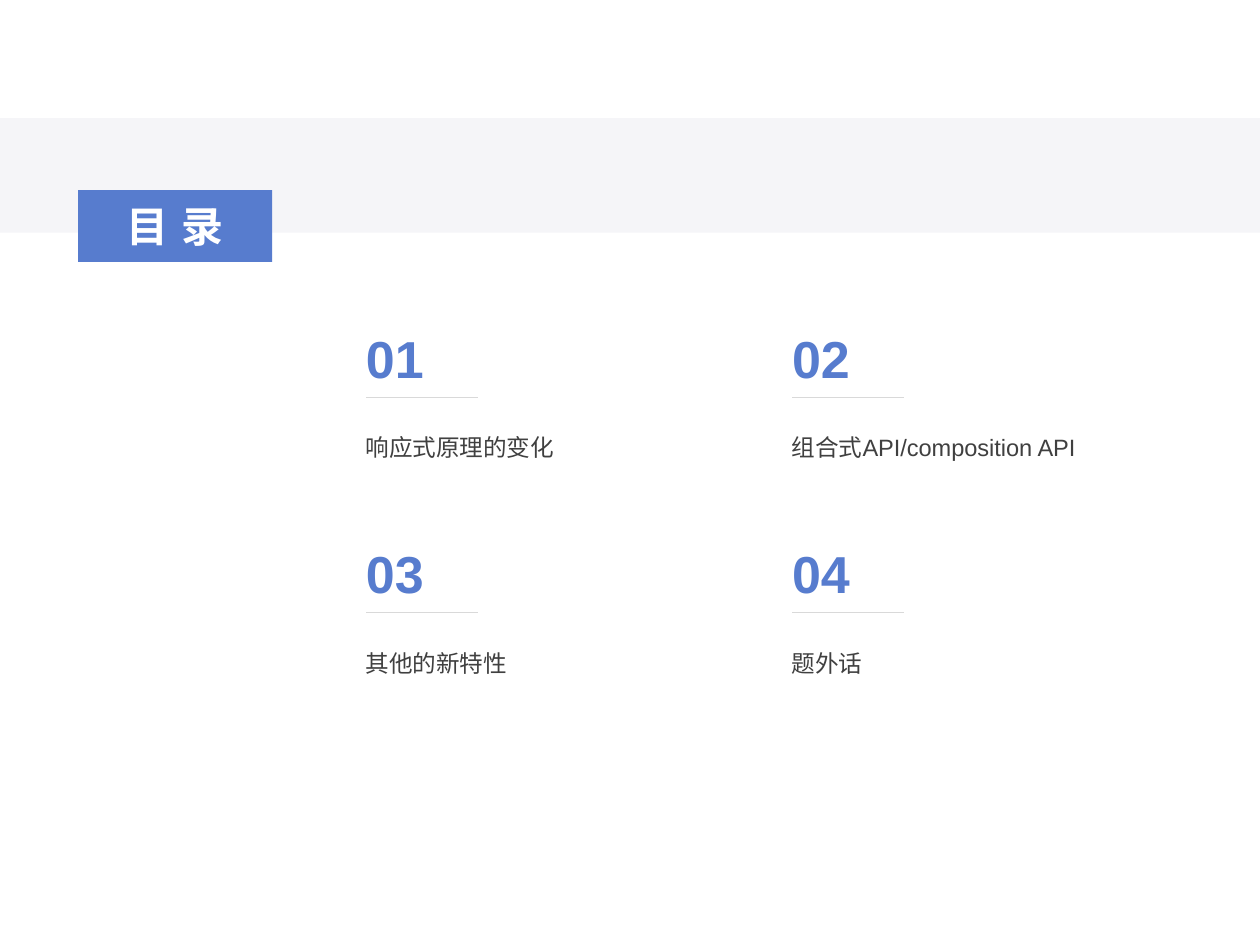
from lxml.etree import SubElement
from pptx import Presentation
from pptx.dml.color import RGBColor
from pptx.enum.shapes import MSO_CONNECTOR as CONN, MSO_SHAPE as SHAPE
from pptx.enum.text import MSO_ANCHOR as ANCHOR, MSO_AUTO_SIZE as AUTO, PP_ALIGN as ALIGN
from pptx.oxml.ns import qn
from pptx.util import Pt

BLUE = RGBColor(0x57, 0x7C, 0xCE)
PALE = RGBColor(0xF5, 0xF5, 0xF8)
RULE = RGBColor(0xD9, 0xD9, 0xD9)
DARK = RGBColor(0x40, 0x40, 0x40)
WHITE = RGBColor(0xFF, 0xFF, 0xFF)
FONT = "Arial"

TOPICS = ["响应式原理的变化", "组合式API/composition API", "其他的新特性", "题外话"]
COLUMNS = 2
LEFT, TOP = 202, 183
COLUMN_STEP, ROW_STEP = 243.5, 123


def add_run(p, text, size, color, bold=False):
    r = p.add_run()
    r.text = text
    r.font.name = FONT
    r.font.size = Pt(size)
    r.font.bold = bold
    r.font.color.rgb = color
    return r


def add_band(s):
    sp = s.shapes.add_shape(SHAPE.RECTANGLE, 0, Pt(67.5), Pt(720), Pt(65.5))
    sp.shadow.inherit = False
    sp.fill.solid()
    sp.fill.fore_color.rgb = PALE
    sp.line.fill.background()


def add_title(s):
    sp = s.shapes.title
    sp.left, sp.top, sp.width, sp.height = Pt(44.6), Pt(108.7), Pt(110.9), Pt(41)
    sp.fill.solid()
    sp.fill.fore_color.rgb = BLUE
    tf = sp.text_frame
    tf.auto_size = AUTO.NONE
    tf.vertical_anchor = ANCHOR.MIDDLE
    tf.margin_left = tf.margin_right = Pt(5)
    tf.margin_top = tf.margin_bottom = Pt(3)
    p = tf.paragraphs[0]
    p.alignment = ALIGN.CENTER
    r = add_run(p, "目录", 24, WHITE, bold=True)
    r.font._element.set("spc", "800")
    s.shapes._spTree.append(sp._element)


def add_text(s, x, y, w, h, text, size, color, bold=False):
    tf = s.shapes.add_textbox(Pt(x), Pt(y), Pt(w), Pt(h)).text_frame
    tf.word_wrap = True
    p = tf.paragraphs[0]
    add_run(p, text, size, color, bold)
    return p


def add_rule(s, x, y, w):
    line = s.shapes.add_connector(CONN.STRAIGHT, Pt(x + w), Pt(y), Pt(x), Pt(y))
    line.line.color.rgb = RULE
    line.line.width = Pt(0.5)
    SubElement(line._element.spPr, qn("a:effectLst"))


def add_topic(s, x, y, number, label):
    add_text(s, x, y, 48.5, 45.5, f"{number:02}", 29.7, BLUE, bold=True)
    add_rule(s, x + 7, y + 44, 64)
    p = add_text(s, x, y + 53, 191.5, 58, label, 13.5, DARK)
    p.alignment = ALIGN.JUSTIFY
    p.line_spacing = 1.5
    p.space_after = Pt(20)


def main():
    prs = Presentation()
    prs.slide_width, prs.slide_height = Pt(720), Pt(540)
    s = prs.slides.add_slide(prs.slide_layouts[5])
    add_band(s)
    for i, label in enumerate(TOPICS):
        row, column = divmod(i, COLUMNS)
        add_topic(s, LEFT + column * COLUMN_STEP, TOP + row * ROW_STEP, i + 1, label)
    add_title(s)
    prs.save("out.pptx")


if __name__ == "__main__":
    main()
